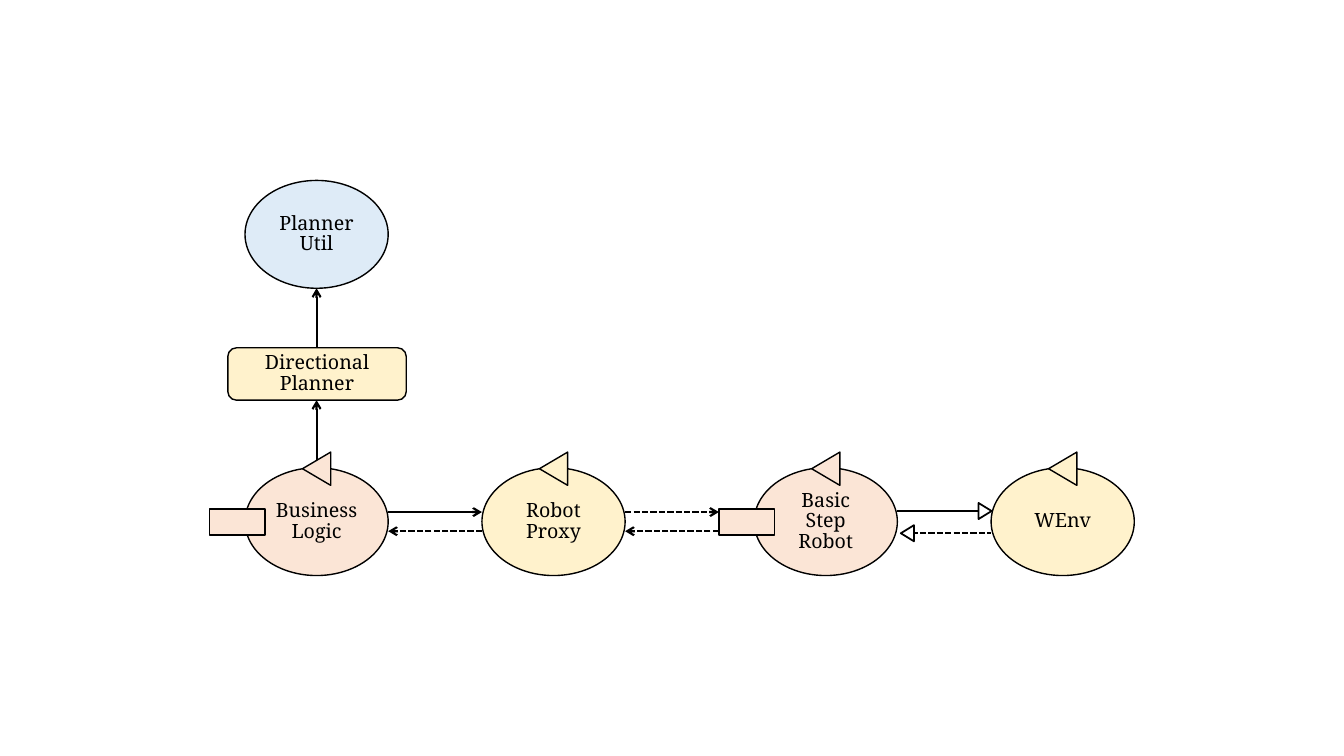
from pptx import Presentation
from pptx import util as u
from pptx.dml.color import RGBColor
from pptx.enum import dml, shapes, text
from pptx.oxml.ns import qn
from lxml import etree

BLACK = RGBColor(0x00, 0x00, 0x00)
WHITE = RGBColor(0xFF, 0xFF, 0xFF)
PEACH = RGBColor(0xFB, 0xE5, 0xD6)
CREAM = RGBColor(0xFF, 0xF2, 0xCC)
BLUE = RGBColor(0xDE, 0xEB, 0xF7)
FONT = "Noto Serif"
KIND = shapes.MSO_SHAPE

NODE_W, NODE_H = 1.42, 1.07
ACTOR_TOP = 4.64
UTIL_TOP = 1.79
COLUMNS = [2.43, 4.78, 7.48, 9.83]
PORT_W, PORT_H = 0.55, 0.26
PORT_OVERHANG = 0.35
PLANNER_BOX = (2.26, 3.45, 1.77, 0.52)
REQUEST_Y = ACTOR_TOP + 0.44
REPLY_Y = ACTOR_TOP + 0.63


def add_block(slide, kind, box, fill, label="", line_width=1):
    shape = slide.shapes.add_shape(kind, *(u.Inches(length) for length in box))
    shape.shadow.inherit = False
    shape.fill.solid()
    shape.fill.fore_color.rgb = fill
    shape.line.color.rgb = BLACK
    shape.line.width = u.Pt(line_width)
    if label:
        frame = shape.text_frame
        frame.word_wrap = True
        frame.vertical_anchor = text.MSO_ANCHOR.MIDDLE
        frame.margin_left = frame.margin_right = u.Inches(0.08)
        frame.text = label
        for paragraph in frame.paragraphs:
            paragraph.alignment = text.PP_ALIGN.CENTER
            paragraph.line_spacing = 0.88
            paragraph.font.name = FONT
            paragraph.font.size = u.Pt(14)
            paragraph.font.color.rgb = BLACK
    return shape


def add_triangle(slide, center_x, center_y, base, height, rotation, fill, line_width=1):
    box = (center_x - base / 2, center_y - height / 2, base, height)
    add_block(slide, KIND.ISOSCELES_TRIANGLE, box, fill,
              line_width=line_width).rotation = rotation


def add_actor(slide, left, label, fill, has_port):
    """Ellipse with a triangle on its top and, if asked, a port on its left."""
    add_block(slide, KIND.OVAL, (left, ACTOR_TOP, NODE_W, NODE_H), fill, label)
    add_triangle(slide, left + NODE_W / 2, ACTOR_TOP + 0.01, 0.33, 0.28, 270, fill)
    if has_port:
        port = (left - PORT_OVERHANG, ACTOR_TOP + 0.41, PORT_W, PORT_H)
        add_block(slide, KIND.RECTANGLE, port, fill)


def add_line(slide, start, end, dashed=False, arrow=True):
    points = (u.Inches(value) for value in (*start, *end))
    line = slide.shapes.add_connector(shapes.MSO_CONNECTOR.STRAIGHT, *points)
    line.line.color.rgb = BLACK
    line.line.width = u.Pt(1.5)
    if dashed:
        line.line.dash_style = dml.MSO_LINE.SQUARE_DOT
    properties = line._element.spPr
    if arrow:
        etree.SubElement(properties.find(qn("a:ln")), qn("a:tailEnd"), type="arrow")
    etree.SubElement(properties, qn("a:effectLst"))


def add_exchange(slide, left, right, request_dashed):
    """Request to the right above a dashed reply to the left."""
    add_line(slide, (left, REQUEST_Y), (right, REQUEST_Y), request_dashed)
    add_line(slide, (right, REPLY_Y), (left, REPLY_Y), dashed=True)


def add_hollow_exchange(slide, left, right):
    """Request and reply lines that end in hollow triangles."""
    request_y, reply_y = REQUEST_Y - 0.01, REPLY_Y + 0.02
    add_line(slide, (left, request_y), (right - 0.13, request_y), arrow=False)
    add_triangle(slide, right - 0.06, request_y, 0.16, 0.13, 90, WHITE, 1.25)
    add_line(slide, (left + 0.14, reply_y), (right, reply_y), dashed=True, arrow=False)
    add_triangle(slide, left + 0.1, reply_y, 0.16, 0.13, 270, WHITE, 1.25)


def add_planner_branch(slide, left):
    """Planner stack that rises from the actor at the given left edge."""
    center = left + NODE_W / 2
    planner_top = PLANNER_BOX[1]
    planner_bottom = planner_top + PLANNER_BOX[3]
    add_block(slide, KIND.OVAL, (left, UTIL_TOP, NODE_W, NODE_H), BLUE, "Planner Util")
    add_line(slide, (center, ACTOR_TOP - 0.08), (center, planner_bottom))
    add_block(slide, KIND.ROUNDED_RECTANGLE, PLANNER_BOX, CREAM, "Directional Planner")
    add_line(slide, (center, planner_top), (center, UTIL_TOP + NODE_H))


def add_actor_row(slide):
    actors = [
        ("Business\nLogic", PEACH, True),
        ("Robot Proxy", CREAM, False),
        ("Basic Step Robot", PEACH, True),
        ("WEnv", CREAM, False),
    ]
    for left, actor in zip(COLUMNS, actors):
        add_actor(slide, left, *actor)
    logic, proxy, robot, environment = COLUMNS
    add_exchange(slide, logic + NODE_W, proxy, request_dashed=False)
    add_exchange(slide, proxy + NODE_W, robot - PORT_OVERHANG, request_dashed=True)
    add_hollow_exchange(slide, robot + NODE_W, environment)


def main():
    presentation = Presentation()
    presentation.slide_width = u.Inches(13.33)
    presentation.slide_height = u.Inches(7.5)
    slide = presentation.slides.add_slide(presentation.slide_layouts[6])
    add_actor_row(slide)
    add_planner_branch(slide, COLUMNS[0])
    presentation.save("out.pptx")


if __name__ == "__main__":
    main()
